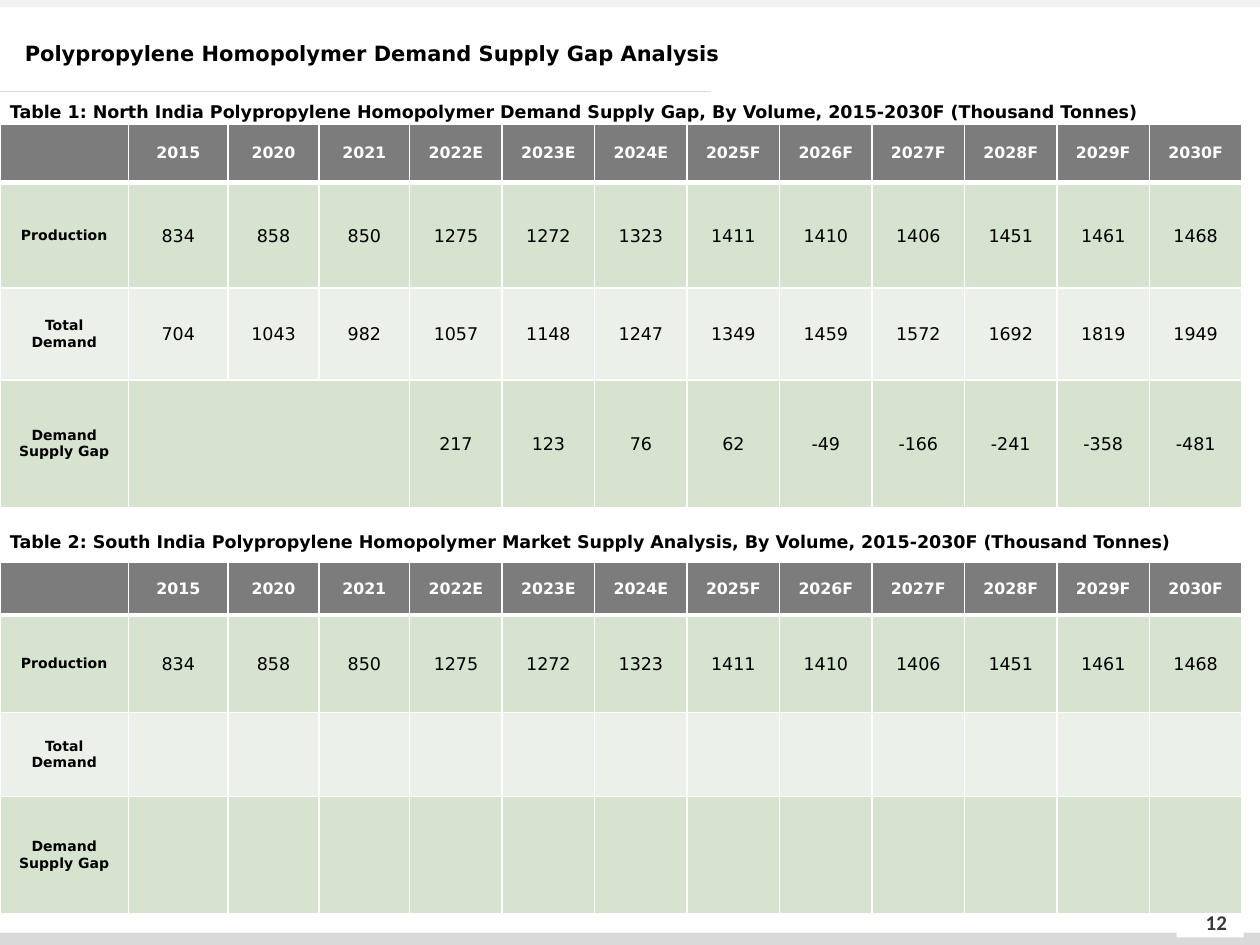
import pptx
import pptx.util
import pptx.dml.color
import pptx.enum.shapes
import pptx.enum.text
import pptx.oxml
import pptx.oxml.ns
from lxml import etree

Cm, Pt = pptx.util.Cm, pptx.util.Pt
ALIGN = pptx.enum.text.PP_ALIGN
MID = pptx.enum.text.MSO_ANCHOR.MIDDLE
FONT = "DejaVu Sans"

TITLE = "Polypropylene Homopolymer Demand Supply Gap Analysis"
YEARS = ["2015", "2020", "2021", "2022E", "2023E", "2024E", "2025F",
         "2026F", "2027F", "2028F", "2029F", "2030F"]
MADE = [834, 858, 850, 1275, 1272, 1323, 1411, 1410, 1406, 1451, 1461, 1468]
NEED = [704, 1043, 982, 1057, 1148, 1247, 1349, 1459, 1572, 1692, 1819, 1949]
GAP = [""] * 3 + [217, 123, 76, 62, -49, -166, -241, -358, -481]
NONE = [""] * len(YEARS)
LABELS = ["", "Production", "Total Demand", "Demand Supply Gap"]
TABLES = [
    {"text": "Table 1: North India Polypropylene Homopolymer Demand Supply Gap, "
             "By Volume, 2015-2030F (Thousand Tonnes)",
     "head": 1.7, "top": 2.51, "rows": [1.17, 2.13, 1.85, 2.57],
     "data": [YEARS, MADE, NEED, GAP], "merge": (3, 1, 3)},
    {"text": "Table 2: South India Polypropylene Homopolymer Market Supply Analysis, "
             "By Volume, 2015-2030F (Thousand Tonnes)",
     "head": 10.36, "top": 11.33, "rows": [1.07, 1.96, 1.7, 2.36],
     "data": [YEARS, MADE, NONE, NONE], "merge": None},
]
BARS = [
    (0, 18.8, 25.4, 0.25, "D9D9D9"),
    (0, 0, 25.4, 0.15, "F2F2F2"),
    (23.72, 18.34, 1.35, 0.56, "FFFFFF"),
]
WIDE = 25.04
FIRST = [2.59, 2.01, 1.83, 1.83]
REST = len(YEARS) + 1 - len(FIRST)
COLS = FIRST + [(WIDE - sum(FIRST)) / REST] * REST
FILLS = ["7C7C7C", "D5E3CF", "EBF1E9", "D5E3CF"]


def color(code):
    return pptx.dml.color.RGBColor.from_string(code)


def write(para, text, size, ink, bold=True, font=FONT):
    run = para.add_run()
    run.text = text
    run.font.size = Pt(size)
    run.font.name = font
    run.font.bold = bold
    run.font.color.rgb = color(ink)


def box(slide, place, text, size, ink="000000", font=FONT, space=None,
        align=ALIGN.LEFT, anchor=None):
    frame = slide.shapes.add_textbox(*map(Cm, place)).text_frame
    frame.word_wrap = True
    if anchor is not None:
        frame.vertical_anchor = anchor
    para = frame.paragraphs[0]
    para.alignment = align
    if space is not None:
        para.line_spacing = space
    write(para, text, size, ink, font=font)


def edge(cell, side, width):
    props = cell._tc.get_or_add_tcPr()
    line = etree.SubElement(props, pptx.oxml.ns.qn("a:" + side), w=str(Pt(width)))
    fill = etree.SubElement(line, pptx.oxml.ns.qn("a:solidFill"))
    etree.SubElement(fill, pptx.oxml.ns.qn("a:srgbClr"), val="FFFFFF")


def style(cell, row, col, text):
    for side in ("lnL", "lnR", "lnT", "lnB"):
        thick = (row, side) in ((0, "lnB"), (1, "lnT"))
        edge(cell, side, 3 if thick else 1)
    cell.fill.solid()
    cell.fill.fore_color.rgb = color(FILLS[row])
    cell.vertical_anchor = MID
    para = cell.text_frame.paragraphs[0]
    para.alignment = ALIGN.CENTER
    if not text:
        return
    if row == 0:
        write(para, text, 9, "FFFFFF")
    elif col == 0:
        write(para, text, 8, "000000")
    else:
        cell.margin_left = cell.margin_right = cell.margin_top = Cm(0.03)
        cell.margin_bottom = 0
        write(para, text, 10, "000000", bold=False)


def grid(slide, item):
    rows = item["rows"]
    table = slide.shapes.add_table(len(rows), len(COLS), 0, Cm(item["top"]),
                                   Cm(WIDE), Cm(sum(rows))).table
    for col, width in enumerate(COLS):
        table.columns[col].width = Cm(width)
    for row, tall in enumerate(rows):
        table.rows[row].height = Cm(tall)
        for col, value in enumerate([LABELS[row]] + item["data"][row]):
            style(table.cell(row, col), row, col, str(value))
    if item["merge"]:
        row, start, end = item["merge"]
        table.cell(row, start).merge(table.cell(row, end))
    box(slide, (-0.05, item["head"], 24.38, 0.81), item["text"], 10, space=1.5)


def main():
    deck = pptx.Presentation()
    deck.slide_width, deck.slide_height = Cm(25.4), Cm(19.05)
    slide = deck.slides.add_slide(deck.slide_layouts[6])
    for *place, code in BARS:
        bar = slide.shapes.add_shape(pptx.enum.shapes.MSO_SHAPE.RECTANGLE,
                                     *map(Cm, place))
        bar.shadow.inherit = False
        bar.fill.solid()
        bar.fill.fore_color.rgb = color(code)
        bar.line.fill.background()
    rule = slide.shapes.add_connector(pptx.enum.shapes.MSO_CONNECTOR.STRAIGHT,
                                      0, Cm(1.84), Cm(14.34), Cm(1.84))
    rule.line.color.rgb = color("D9D9D9")
    rule.line.width = Pt(0.5)
    etree.SubElement(rule._element.spPr, pptx.oxml.ns.qn("a:effectLst"))
    box(slide, (23.9, 18.08, 1.24, 1.02), "12", 12, "3B3838", "Calibri",
        align=ALIGN.CENTER, anchor=MID)
    box(slide, (0.25, 0.64, 24.79, 0.79), TITLE, 12, space=Pt(17), anchor=MID)
    for item in TABLES:
        grid(slide, item)
    deck.save("out.pptx")


if __name__ == "__main__":
    main()
